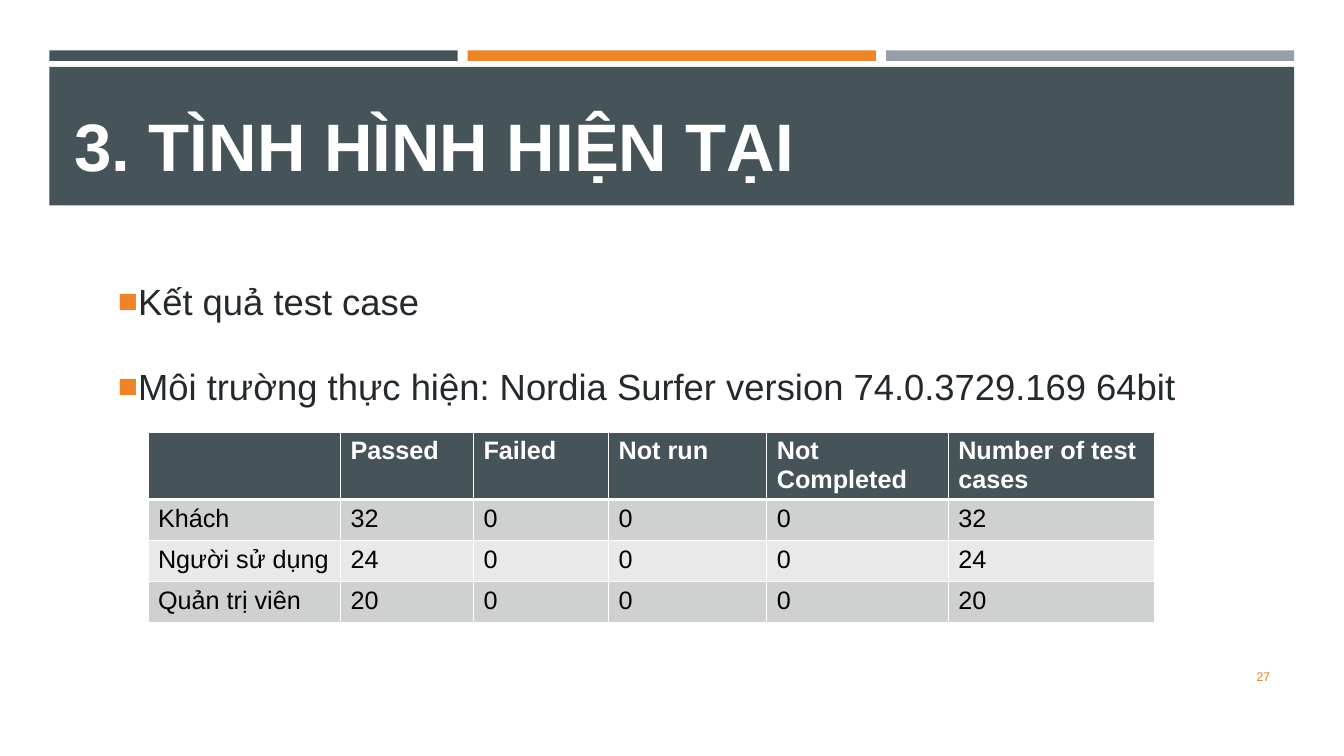
"""Build the test result slide with its banner, bullets and table."""
from dataclasses import dataclass
from typing import Any

import lxml.etree
import pptx
import pptx.dml.color
import pptx.enum.shapes
import pptx.enum.text
import pptx.oxml.ns
import pptx.util

ALIGN = pptx.enum.text.PP_ALIGN
ANCHOR = pptx.enum.text.MSO_ANCHOR
COLUMNS, ROWS = 160, 90
SLIDE_WIDTH, SLIDE_HEIGHT = pptx.util.Inches(13.333), pptx.util.Inches(7.5)


@dataclass(frozen=True)
class Theme:
    font: str = "Arial"
    slate: str = "465359"
    orange: str = "ED8428"
    gray: str = "969FA7"
    white: str = "FFFFFF"
    ink: str = "23292C"
    black: str = "000000"
    band_dark: str = "CFD1D1"
    band_light: str = "E9E9EA"
    title_size: int = 48
    body_size: int = 26
    table_size: int = 18
    number_size: int = 9


@dataclass(frozen=True)
class Area:
    column: float
    row: float
    columns: float
    rows: float

    def place(self) -> tuple[int, int, int, int]:
        return across(self.column), down(self.row), across(self.columns), down(self.rows)


@dataclass(frozen=True)
class Block:
    area: Area
    color: str


@dataclass(frozen=True)
class Label:
    area: Area
    lines: tuple[str, ...]
    font: dict[str, Any]
    color: str
    frame: dict[str, Any]
    paragraph: dict[str, Any]
    bulleted: bool = False


THEME = Theme()
MARGIN, BAR_WIDTH, BAR_PITCH = 5.88, 48.6, 49.8
BLOCKS = [
    Block(Area(MARGIN + index * BAR_PITCH, 6, BAR_WIDTH, 1.25), color)
    for index, color in enumerate((THEME.slate, THEME.orange, THEME.gray))
] + [Block(Area(MARGIN, 7.96, 2 * BAR_PITCH + BAR_WIDTH, 16.5), THEME.slate)]

LABELS = [
    Label(Area(7.68, 9.6, 144.72, 12.96), ("3. TÌNH HÌNH HIỆN TẠI",),
          {"size": pptx.util.Pt(THEME.title_size), "bold": True}, THEME.white,
          {"vertical_anchor": ANCHOR.BOTTOM}, {"alignment": ALIGN.LEFT}),
    Label(Area(MARGIN, 29.28, 148, 38.4),
          ("Kết quả test case",
           "Môi trường thực hiện: Nordia Surfer version 74.0.3729.169 64bit"),
          {"size": pptx.util.Pt(THEME.body_size)}, THEME.ink,
          {"vertical_anchor": ANCHOR.TOP, "margin_left": pptx.util.Inches(0.68),
           "margin_top": pptx.util.Inches(0.11)},
          {"alignment": ALIGN.JUSTIFY, "line_spacing": 1.5,
           "space_after": pptx.util.Pt(6)}, True),
    Label(Area(138.6, 78.12, 13.8, 4.8), ("27",),
          {"size": pptx.util.Pt(THEME.number_size)}, THEME.orange,
          {"vertical_anchor": ANCHOR.MIDDLE}, {"alignment": ALIGN.RIGHT}),
]

TABLE_CORNER = (17.62, 51.43)
TABLE_COLUMNS = (22.92, 15.84, 16.08, 18.84, 21.6, 24.6)
TABLE_ROWS = (7.74, 4.88, 4.88, 4.88)
RESULTS = (
    ("", "Passed", "Failed", "Not run", "Not Completed", "Number of test cases"),
    ("Khách", "32", "0", "0", "0", "32"),
    ("Người sử dụng", "24", "0", "0", "0", "24"),
    ("Quản trị viên", "20", "0", "0", "0", "20"),
)


def across(columns: float) -> int:
    return round(SLIDE_WIDTH * columns / COLUMNS)


def down(rows: float) -> int:
    return round(SLIDE_HEIGHT * rows / ROWS)


def rgb(color: str) -> pptx.dml.color.RGBColor:
    return pptx.dml.color.RGBColor.from_string(color)


def apply(target: Any, values: dict[str, Any]) -> None:
    for name, value in values.items():
        setattr(target, name, value)


def add_element(parent: Any, tag: str, **attributes: str) -> Any:
    return lxml.etree.SubElement(parent, pptx.oxml.ns.qn(tag), attributes)


def style_font(font: Any, values: dict[str, Any], color: str) -> None:
    apply(font, {"name": THEME.font, **values})
    font.color.rgb = rgb(color)


def add_bullet(para: Any) -> None:
    properties = para._p.get_or_add_pPr()
    hang = pptx.util.Inches(0.17)
    properties.set("marL", str(hang))
    properties.set("indent", str(-hang))
    color = add_element(properties, "a:buClr")
    add_element(color, "a:srgbClr", val=THEME.orange)
    add_element(properties, "a:buSzPct", val="92000")
    add_element(properties, "a:buFont", typeface=THEME.font)
    add_element(properties, "a:buChar", char="■")


def draw_block(page: Any, block: Block) -> None:
    shape = page.shapes.add_shape(
        pptx.enum.shapes.MSO_SHAPE.RECTANGLE, *block.area.place())
    shape.shadow.inherit = False
    shape.fill.solid()
    shape.fill.fore_color.rgb = rgb(block.color)
    shape.line.fill.background()


def draw_label(page: Any, label: Label) -> None:
    frame = page.shapes.add_textbox(*label.area.place()).text_frame
    apply(frame, {"word_wrap": True, **label.frame})
    for index, line in enumerate(label.lines):
        para = frame.add_paragraph() if index else frame.paragraphs[0]
        if label.bulleted:
            add_bullet(para)
        apply(para, label.paragraph)
        if index:
            para.space_before = pptx.util.Pt(8)
        span = para.add_run()
        span.text = line
        style_font(span.font, label.font, label.color)


def add_borders(cell: Any, row: int) -> None:
    properties = cell._tc.get_or_add_tcPr()
    widths = {"L": 1, "R": 1, "T": 3 if row == 1 else 1, "B": 3 if row == 0 else 1}
    for side, points in widths.items():
        line = add_element(properties, f"a:ln{side}", w=str(pptx.util.Pt(points)))
        add_element(add_element(line, "a:solidFill"), "a:srgbClr", val=THEME.white)


def draw_table(page: Any) -> None:
    area = Area(*TABLE_CORNER, sum(TABLE_COLUMNS), sum(TABLE_ROWS))
    table = page.shapes.add_table(
        len(TABLE_ROWS), len(TABLE_COLUMNS), *area.place()).table
    for column, width in zip(table.columns, TABLE_COLUMNS):
        column.width = across(width)
    for row, height in zip(table.rows, TABLE_ROWS):
        row.height = down(height)
    for row, texts in enumerate(RESULTS):
        band = THEME.band_dark if row % 2 else THEME.band_light
        fill, color = (band, THEME.black) if row else (THEME.slate, THEME.white)
        for column, text in enumerate(texts):
            cell = table.cell(row, column)
            add_borders(cell, row)
            cell.fill.solid()
            cell.fill.fore_color.rgb = rgb(fill)
            cell.margin_bottom = pptx.util.Inches(0.02)
            cell.text = text
            style_font(cell.text_frame.paragraphs[0].font,
                       {"size": pptx.util.Pt(THEME.table_size), "bold": row == 0}, color)
            for span in cell.text_frame.paragraphs[0].runs:
                style_font(span.font, {"size": pptx.util.Pt(THEME.table_size),
                                       "bold": row == 0}, color)


def main() -> None:
    deck = pptx.Presentation()
    apply(deck, {"slide_width": SLIDE_WIDTH, "slide_height": SLIDE_HEIGHT})
    page = deck.slides.add_slide(deck.slide_layouts[6])
    for block in BLOCKS:
        draw_block(page, block)
    for label in LABELS:
        draw_label(page, label)
    draw_table(page)
    deck.save("out.pptx")


if __name__ == "__main__":
    main()
